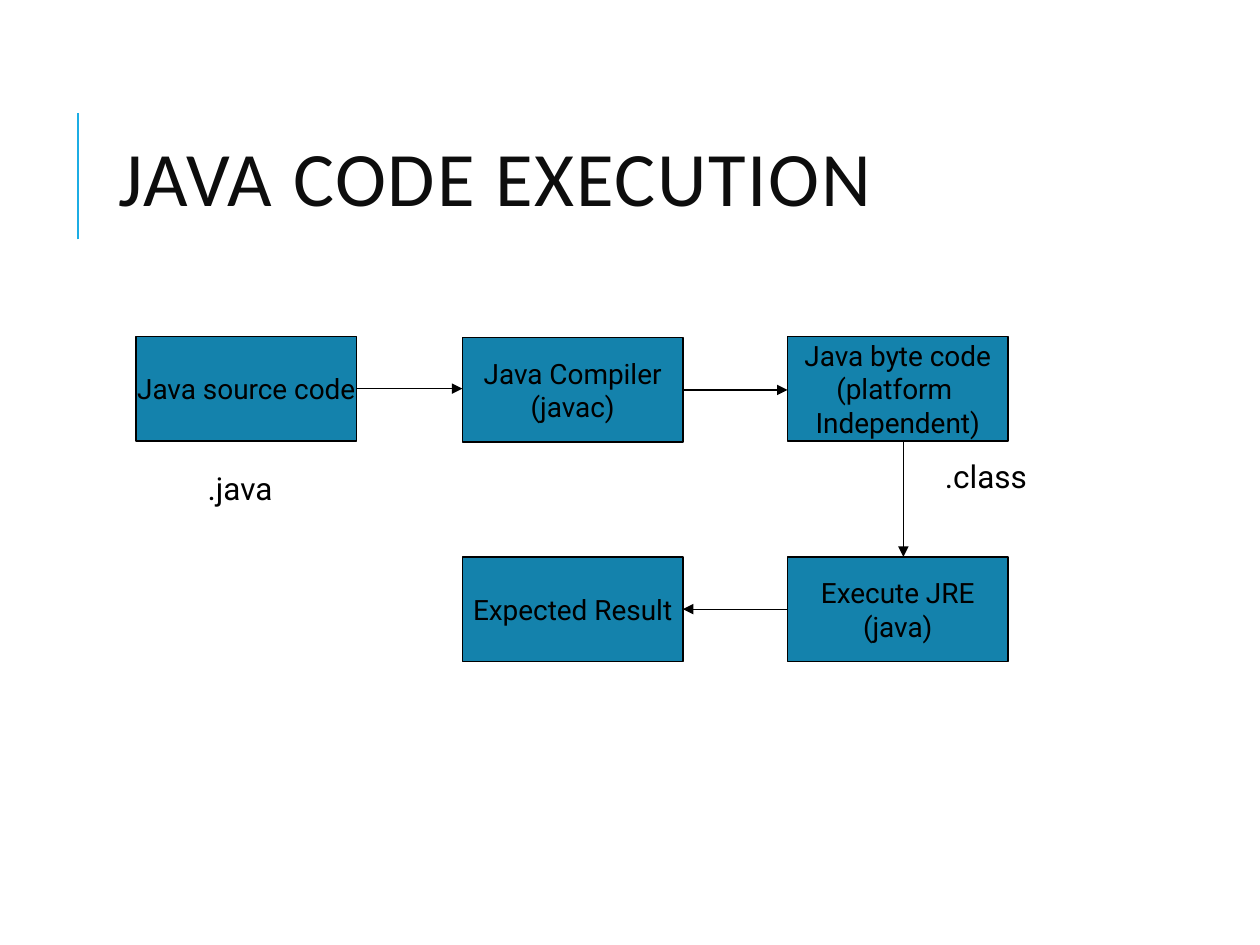
from dataclasses import dataclass

import pptx
import pptx.dml.color
import pptx.enum.shapes
import pptx.enum.text
import pptx.oxml.ns
import pptx.util
from lxml import etree
from pptx.util import Inches

BLACK, BLUE, ACCENT, INK = "000000", "1482AC", "1CADE4", "0D0D0D"
BOX_W, BOX_H = 1.75, 0.83
COLUMNS = [1.08, 3.67, 6.25]
TOP_ROW, BOTTOM_ROW = 2.67, 4.42
CENTER = pptx.enum.text.PP_ALIGN.CENTER
MIDDLE = pptx.enum.text.MSO_ANCHOR.MIDDLE
TOP = pptx.enum.text.MSO_ANCHOR.TOP


@dataclass
class Box:
    text: str
    x: float
    y: float


@dataclass
class Line:
    x1: float
    y1: float
    x2: float
    y2: float
    color: str = BLACK
    width: float = 0.75
    arrow: bool = True


@dataclass
class Label:
    text: str
    x: float
    y: float
    w: float = 1.15
    h: float = 0.4


def rgb(color: str) -> pptx.dml.color.RGBColor:
    return pptx.dml.color.RGBColor.from_string(color)


def set_text(s, text: str, size: float, font: str = "Roboto", color: str = BLACK,
             align=CENTER, anchor=MIDDLE, wrap: bool = True) -> None:
    tf = s.text_frame
    tf.text = text
    tf.word_wrap = wrap
    tf.vertical_anchor = anchor
    for p in tf.paragraphs:
        p.alignment = align
        for r in p.runs:
            r.font.size = pptx.util.Pt(size)
            r.font.name = font
            r.font.color.rgb = rgb(color)


def draw_box(slide, box: Box) -> None:
    s = slide.shapes.add_shape(pptx.enum.shapes.MSO_SHAPE.RECTANGLE, Inches(box.x),
                               Inches(box.y), Inches(BOX_W), Inches(BOX_H))
    s.shadow.inherit = False
    s.fill.solid()
    s.fill.fore_color.rgb = rgb(BLUE)
    s.line.color.rgb = rgb(BLACK)
    s.line.width = pptx.util.Pt(0.75)
    set_text(s, box.text, 16, wrap=False)


def draw_line(slide, line: Line) -> None:
    c = slide.shapes.add_connector(pptx.enum.shapes.MSO_CONNECTOR.STRAIGHT, Inches(line.x1),
                                   Inches(line.y1), Inches(line.x2), Inches(line.y2))
    c.line.color.rgb = rgb(line.color)
    c.line.width = pptx.util.Pt(line.width)
    if line.arrow:
        ln = c.line._get_or_add_ln()
        etree.SubElement(ln, pptx.oxml.ns.qn("a:tailEnd"), type="triangle")
    etree.SubElement(c._element.spPr, pptx.oxml.ns.qn("a:effectLst"))


def add_label(slide, label: Label):
    return slide.shapes.add_textbox(Inches(label.x), Inches(label.y),
                                    Inches(label.w), Inches(label.h))


prs = pptx.Presentation()
prs.slide_width, prs.slide_height = Inches(10), Inches(7.5)
slide = prs.slides.add_slide(prs.slide_layouts[6])

# Title with accent rule
draw_line(slide, Line(0.62, 1.9, 0.62, 0.9, ACCENT, 1.5, arrow=False))
title = Label("JAVA CODE EXECUTION", 0.84, 0.64, 7.97, 1.64)
s = add_label(slide, title)
set_text(s, title.text, 44, "Calibri", INK, pptx.enum.text.PP_ALIGN.LEFT)
p = s.text_frame.paragraphs[0]
p.line_spacing = 0.8
p.runs[0].font._element.set("spc", "100")

# Process steps
source, compiler, byte_code, jre, result = boxes = [
    Box("Java source code", COLUMNS[0], TOP_ROW),
    Box("Java Compiler\n(javac)", COLUMNS[1], TOP_ROW + 0.01),
    Box("Java byte code\n(platform \nIndependent)", COLUMNS[2], TOP_ROW),
    Box("Execute JRE\n(java)", COLUMNS[2], BOTTOM_ROW),
    Box("Expected Result", COLUMNS[1], BOTTOM_ROW),
]
for box in boxes:
    draw_box(slide, box)

# Arrows between steps
half = BOX_H / 2
down_x = 7.17
for arrow in [
    Line(source.x + BOX_W, source.y + half, compiler.x, source.y + half),
    Line(compiler.x + BOX_W, compiler.y + half, byte_code.x, compiler.y + half),
    Line(down_x, byte_code.y + BOX_H, down_x, jre.y),
    Line(jre.x, jre.y + half, result.x + BOX_W, jre.y + half),
]:
    draw_line(slide, arrow)

# File extensions
for label in [Label(".java", 1.33, 3.67), Label(".class", 7.25, 3.58)]:
    set_text(add_label(slide, label), label.text, 18, anchor=TOP)

prs.save("out.pptx")
